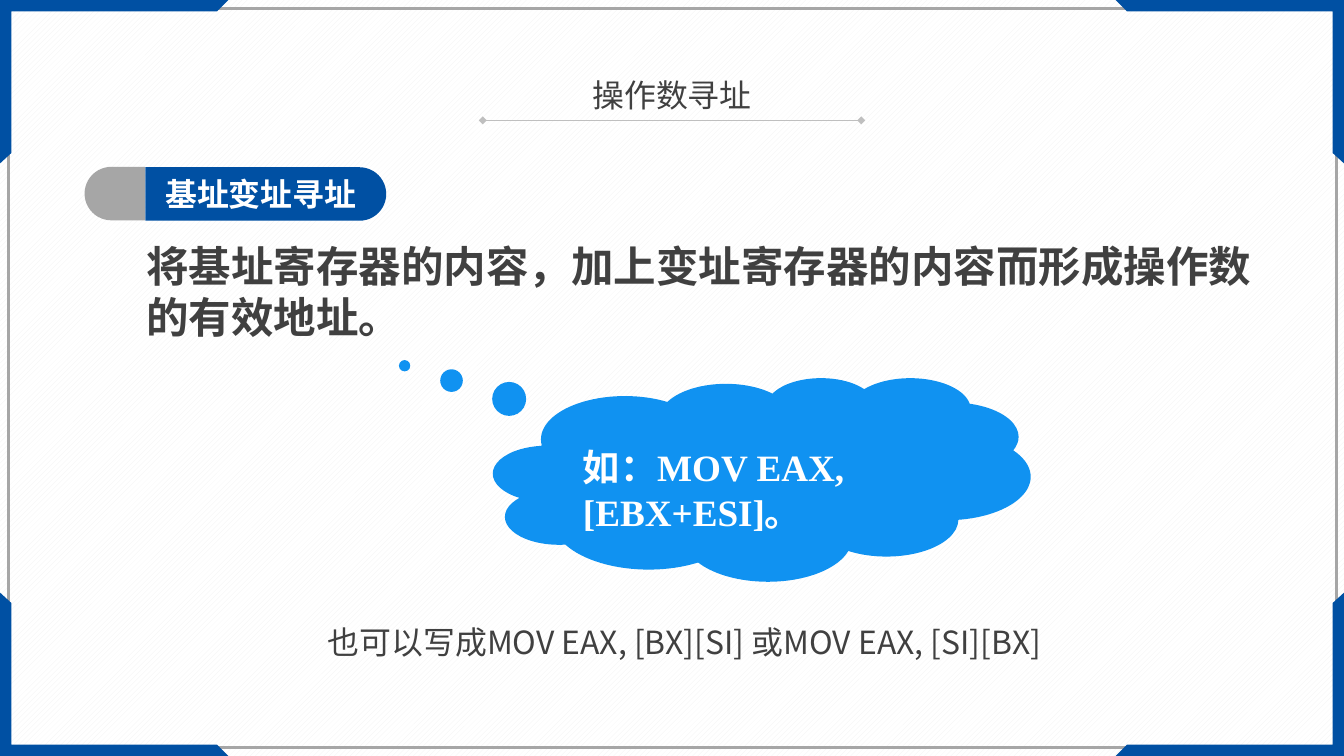
from itertools import product

from lxml import etree
from pptx import Presentation
from pptx.dml.color import RGBColor
from pptx.enum.dml import MSO_PATTERN
from pptx.enum.shapes import MSO_CONNECTOR, MSO_SHAPE
from pptx.enum.text import PP_ALIGN
from pptx.oxml.ns import qn
from pptx.util import Inches, Pt

WIDTH, HEIGHT = 14.06, 7.91
COLORS = {
    "paper": "FFFFFF", "stripe": "F2F2F2", "navy": "0050A3", "gray": "A6A6A6",
    "rule": "BFBFBF", "cloud": "1092F1", "text": "404040", "white": "FFFFFF",
}
SANS, SERIF = "Noto Sans CJK SC", "Times New Roman"
CORNER = [(0, 0), (2.39, 0), (2.27, 0.12), (0.12, 0.12), (0.12, 1.6), (0, 1.71)]


def rgb(name):
    return RGBColor.from_string(COLORS[name])


class Board:
    """Draws styled elements on one slide."""

    def __init__(self, slide):
        self.slide = slide
        self.shapes = slide.shapes

    def background(self):
        fill = self.slide.background.fill
        fill.patterned()
        fill.pattern = MSO_PATTERN.WIDE_UPWARD_DIAGONAL
        fill.fore_color.rgb = rgb("stripe")
        fill.back_color.rgb = rgb("paper")

    def paint(self, s, color):
        s.shadow.inherit = False
        s.fill.solid()
        s.fill.fore_color.rgb = rgb(color)
        s.line.fill.background()

    def shape(self, kind, x, y, w, h, color, adjust=(), rotation=0):
        s = self.shapes.add_shape(kind, Inches(x), Inches(y), Inches(w), Inches(h))
        for i, value in enumerate(adjust):
            s.adjustments[i] = value
        s.rotation = rotation
        self.paint(s, color)
        return s

    def frame(self, x, y, w, h):
        s = self.shape(MSO_SHAPE.RECTANGLE, x, y, w, h, "paper")
        s.fill.background()
        s.line.color.rgb = rgb("gray")
        s.line.width = Pt(2)

    def corner(self, right, bottom):
        """Draw the corner bracket, mirrored to the given sides."""
        points = [(Inches(WIDTH - x if right else x), Inches(HEIGHT - y if bottom else y))
                  for x, y in CORNER]
        builder = self.shapes.build_freeform(*points[0])
        builder.add_line_segments(points[1:], close=True)
        self.paint(builder.convert_to_shape(), "navy")

    def diamond_line(self, x1, x2, y):
        s = self.shapes.add_connector(
            MSO_CONNECTOR.STRAIGHT, Inches(x1), Inches(y), Inches(x2), Inches(y))
        s.line.color.rgb = rgb("rule")
        s.line.width = Pt(0.5)
        ln = s.line._get_or_add_ln()
        for end in ("a:headEnd", "a:tailEnd"):
            etree.SubElement(ln, qn(end), type="diamond")
        etree.SubElement(s._element.spPr, qn("a:effectLst"))

    def text(self, words, x, y, w, h, size, color="text", font=SANS,
             bold=False, align=PP_ALIGN.LEFT):
        tf = self.shapes.add_textbox(Inches(x), Inches(y), Inches(w), Inches(h)).text_frame
        tf.word_wrap = True
        tf.text = words
        p = tf.paragraphs[0]
        p.alignment = align
        p.line_spacing = Pt(size * 1.2)
        r = p.runs[0]
        r.font.name = font
        r.font.size = Pt(size)
        r.font.bold = bold
        r.font.color.rgb = rgb(color)
        etree.SubElement(r._r.get_or_add_rPr(), qn("a:ea"), typeface=SANS)


def main():
    prs = Presentation()
    prs.slide_width, prs.slide_height = Inches(WIDTH), Inches(HEIGHT)
    board = Board(prs.slides.add_slide(prs.slide_layouts[6]))

    board.background()
    board.frame(0.09, 0.09, 13.89, 7.73)
    for right, bottom in product((False, True), repeat=2):
        board.corner(right, bottom)

    board.text("操作数寻址", 5.53, 0.74, 3, 0.5, 24, align=PP_ALIGN.CENTER)
    board.diamond_line(5.05, 9.01, 1.26)

    pill_end = MSO_SHAPE.ROUND_2_SAME_RECTANGLE
    board.shape(pill_end, 2.5, 0.77, 0.56, 2.52, "navy", (0.5, 0), 90)
    board.shape(pill_end, 0.92, 1.71, 0.56, 0.63, "gray", (0.5, 0), 270)
    board.text("基址变址寻址", 1.63, 1.78, 2.5, 0.5, 24, "white", SERIF, bold=True)

    board.text("将基址寄存器的内容，加上变址寄存器的内容而形成操作数的有效地址。",
               1.43, 2.46, 11.83, 1.17, 32, bold=True)

    board.shape(MSO_SHAPE.CLOUD_CALLOUT, 5.16, 3.95, 5.62, 2.13, "cloud", (-0.665, -0.558))
    board.text("如：MOV EAX, [EBX+ESI]。", 6, 4.6, 4.4, 1.04, 28, "white", SERIF, bold=True)

    board.text("也可以写成MOV EAX, [BX][SI] 或MOV EAX, [SI][BX]", 3.33, 6.47, 8.79, 0.5, 24)
    prs.save("out.pptx")


if __name__ == "__main__":
    main()
